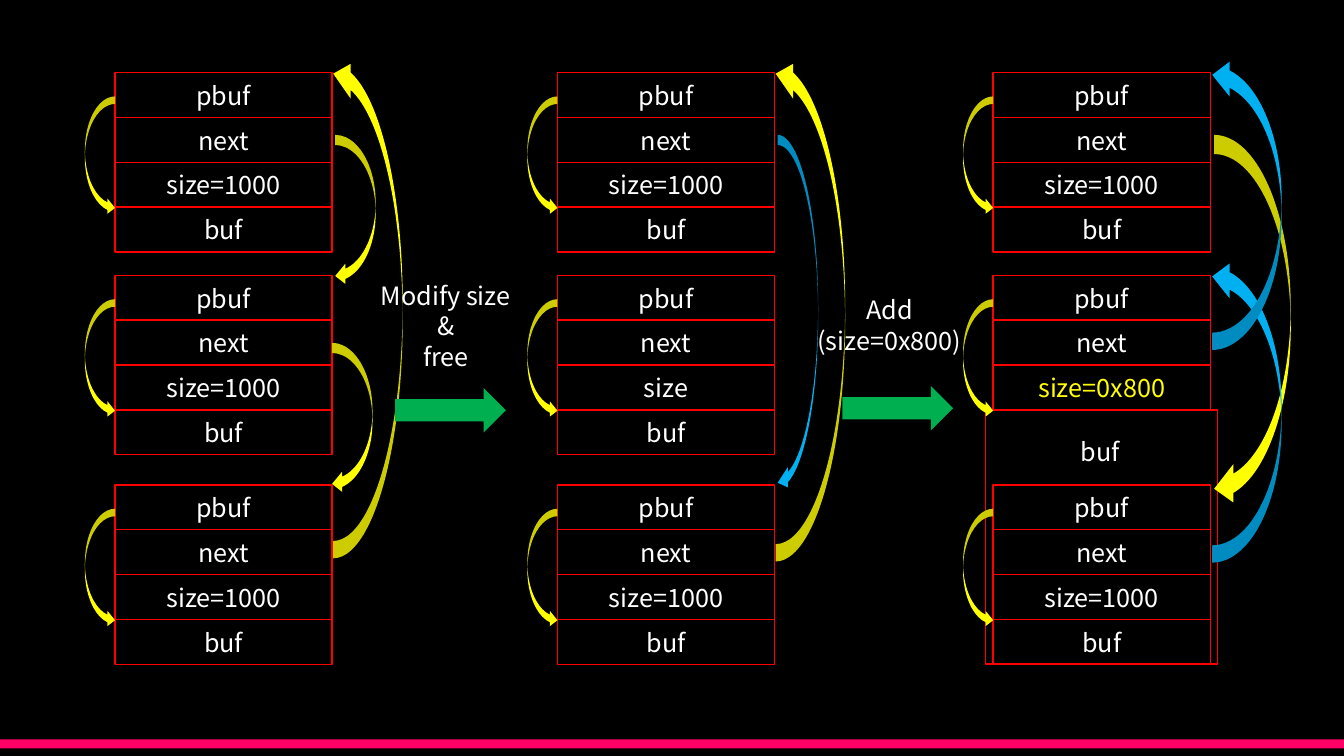
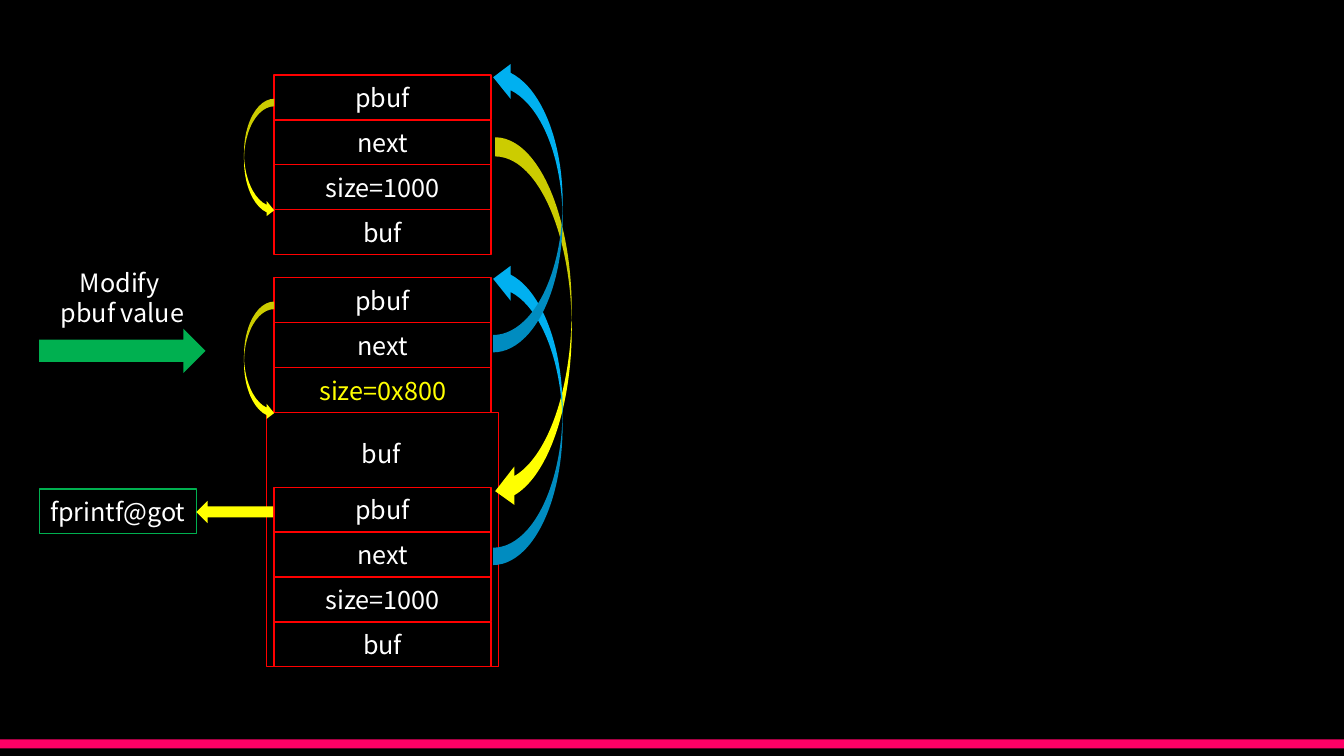
import pptx
import pptx.util
import pptx.dml.color
import pptx.enum.shapes
import pptx.enum.text

Cm, Pt = pptx.util.Cm, pptx.util.Pt
SHAPE = pptx.enum.shapes.MSO_SHAPE

COLORS = {"black": "000000", "white": "FFFFFF", "pink": "FF0066", "red": "FF0000",
          "yellow": "FFFF00", "blue": "00B0F0", "green": "00B050"}
FONT = "Noto Sans CJK JP"

# All measures below are centimetres.
SLIDE_W, SLIDE_H = 33.87, 19.05
FIELD_W, FIELD_H = 5.47, 1.13
CHUNK_TOPS = (1.83, 6.94, 12.22)
STEP_ARROW_H = 1.12

CHUNK = ("pbuf", "next", "size=1000", "buf")
FREED = ("pbuf", "next", "size", "buf")
GROWN = ("pbuf", "next", "size=0x800")  # its buf is the overflow frame

# Links: gap from the column, top, width, height, direction, colour
INITIAL = {
    "chunks": (CHUNK, CHUNK, CHUNK),
    "links": [(0, 8.64, 1.02, 3.81, "down", "yellow"),
              (0.08, 3.4, 1.02, 3.81, "down", "yellow"),
              (0.03, 1.42, 1.75, 12.65, "up", "yellow")],
}
AFTER_FREE = {
    "chunks": (CHUNK, FREED, CHUNK),
    "links": [(0.08, 3.4, 1.02, 9.02, "down", "blue"),
              (0.03, 1.42, 1.75, 12.73, "up", "yellow")],
}
AFTER_ADD = {
    "chunks": (CHUNK, GROWN, CHUNK),
    "links": [(0.1, 3.4, 1.93, 9.4, "down", "yellow"),
              (0.05, 6.53, 1.75, 7.65, "up", "blue"),
              (0.05, 1.45, 1.75, 7.37, "up", "blue")],
}

# Columns: state, left, downward shift, number of chunks whose pbuf points to their own buf
# Steps: caption lines, caption box, arrow left, arrow top, arrow width
SLIDES = [
    {"columns": [(INITIAL, 2.9, 0, 3), (AFTER_FREE, 14.05, 0, 3), (AFTER_ADD, 25.03, 0, 3)],
     "steps": [(("Modify size", "&", "free"), (8.81, 6.93, 4.85, 2.57), 9.96, 9.78, 2.79),
               (("Add", "(size=0x800)"), (19.99, 7.29, 4.85, 1.8), 21.23, 9.73, 2.79)]},
    {"columns": [(AFTER_ADD, 6.91, 0.06, 2)],
     "steps": [(("Modify ", "pbuf value"), (0.66, 6.6, 4.85, 1.8), 0.99, 8.28, 4.19)],
     "target": ("fprintf@got", (0.99, 12.32, 3.96, FIELD_H), (4.95, 12.62, 1.93, 0.56))},
]


def rgb(color):
    return pptx.dml.color.RGBColor.from_string(COLORS[color])


def write(frame, lines, color="white"):
    frame.word_wrap = True
    for number, line in enumerate(lines):
        paragraph = frame.add_paragraph() if number else frame.paragraphs[0]
        paragraph.alignment = pptx.enum.text.PP_ALIGN.CENTER
        paragraph.line_spacing = Pt(21.8)
        run = paragraph.add_run()
        run.text = line
        run.font.name = FONT
        run.font.size = Pt(18)
        run.font.color.rgb = rgb(color)


def add_solid(slide, preset, box, color):
    """Add a filled shape without outline."""
    shape = slide.shapes.add_shape(preset, *map(Cm, box))
    shape.shadow.inherit = False
    shape.fill.solid()
    shape.fill.fore_color.rgb = rgb(color)
    shape.line.fill.background()
    return shape


def add_frame(slide, box, color="red", text=None, text_color="white"):
    """Add an outlined, unfilled rectangle with optional text."""
    frame = slide.shapes.add_shape(SHAPE.RECTANGLE, *map(Cm, box))
    frame.shadow.inherit = False
    frame.fill.background()
    frame.line.color.rgb = rgb(color)
    frame.line.width = Pt(1)
    if text:
        frame.text_frame.vertical_anchor = pptx.enum.text.MSO_ANCHOR.MIDDLE
        write(frame.text_frame, [text], text_color)


def add_caption(slide, lines, box):
    write(slide.shapes.add_textbox(*map(Cm, box)).text_frame, lines)


def add_link(slide, box, direction, color):
    """Add a curved pointer on the right of a column."""
    link = add_solid(slide, SHAPE.CURVED_RIGHT_ARROW, box, color)
    xfrm = link.element.spPr.xfrm
    xfrm.set("flipH", "1")
    if direction == "up":
        xfrm.set("flipV", "1")


def add_column(slide, state, left, shift, self_pointers):
    for index, (fields, chunk_top) in enumerate(zip(state["chunks"], CHUNK_TOPS)):
        top = chunk_top + shift
        for row, field in enumerate(fields):
            add_frame(slide, (left, top + row * FIELD_H, FIELD_W, FIELD_H), text=field,
                      text_color="yellow" if field == "size=0x800" else "white")
        if fields is GROWN:
            buf_top = top + len(GROWN) * FIELD_H
            add_frame(slide, (left - 0.19, buf_top, 5.84, 6.4))
            add_caption(slide, ["buf"], (left + 0.28, buf_top + 0.52, 4.85, 1.02))
        if index < self_pointers:
            add_solid(slide, SHAPE.CURVED_RIGHT_ARROW, (left - 0.76, top + 0.6, 0.76, 3), "yellow")
    for gap, top, width, height, direction, color in state["links"]:
        add_link(slide, (left + FIELD_W + gap, top + shift, width, height), direction, color)


def main():
    prs = pptx.Presentation()
    prs.slide_width, prs.slide_height = Cm(SLIDE_W), Cm(SLIDE_H)
    background = prs.slide_master.background.fill
    background.solid()
    background.fore_color.rgb = rgb("black")

    for content in SLIDES:
        slide = prs.slides.add_slide(prs.slide_layouts[6])
        add_solid(slide, SHAPE.RECTANGLE, (0, 18.63, SLIDE_W, 0.23), "pink")
        for column in content["columns"]:
            add_column(slide, *column)
        for lines, caption_box, left, top, width in content["steps"]:
            add_solid(slide, SHAPE.RIGHT_ARROW, (left, top, width, STEP_ARROW_H), "green")
            add_caption(slide, lines, caption_box)
        if "target" in content:
            address, address_box, pointer_box = content["target"]
            add_frame(slide, address_box, "green", address)
            add_solid(slide, SHAPE.RIGHT_ARROW, pointer_box, "yellow").rotation = 180

    prs.save("out.pptx")


if __name__ == "__main__":
    main()
